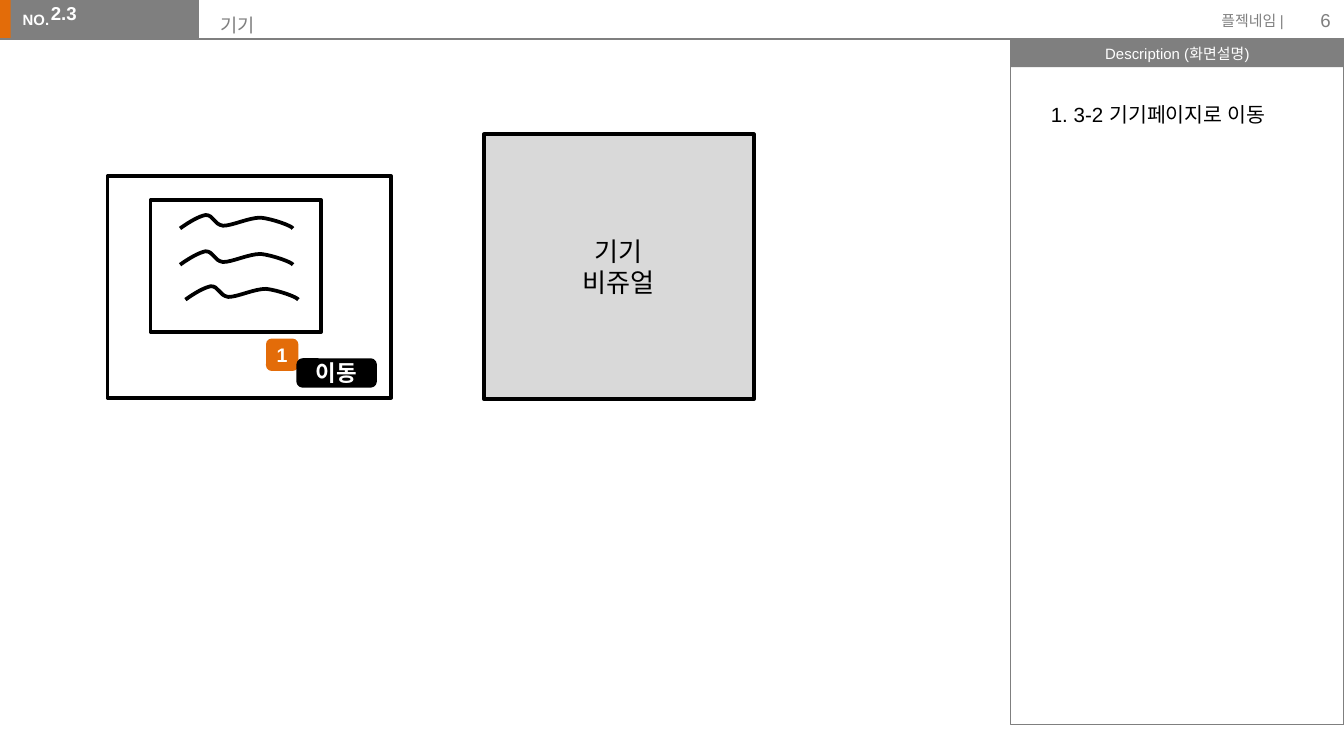
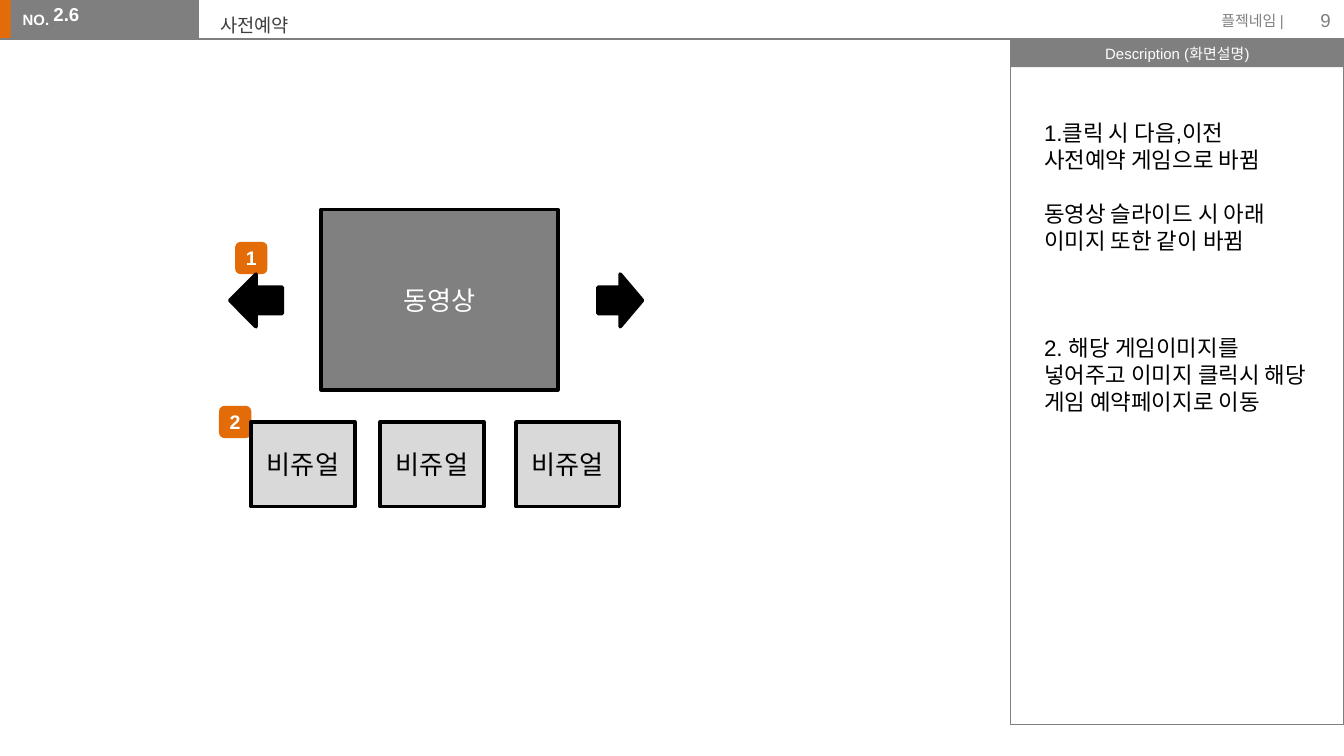
from dataclasses import dataclass

from lxml.etree import SubElement
from pptx import Presentation
from pptx.dml.color import RGBColor
from pptx.enum.shapes import MSO_CONNECTOR, MSO_SHAPE
from pptx.enum.text import MSO_ANCHOR, PP_ALIGN
from pptx.oxml.ns import qn
from pptx.util import Pt

# Scale: 100 px to the inch
EMU_PER_PX = 9144

# Theme
FONT = "Arial"
ORANGE = RGBColor(0xE3, 0x6C, 0x09)
GRAY = RGBColor(0x7F, 0x7F, 0x7F)
VIDEO_GRAY = RGBColor(0x80, 0x80, 0x80)
DARK_GRAY = RGBColor(0x3F, 0x3F, 0x3F)
LIGHT_GRAY = RGBColor(0xD9, 0xD9, 0xD9)
BLACK = RGBColor(0, 0, 0)
WHITE = RGBColor(0xFF, 0xFF, 0xFF)
THIN, THICK = 0.75, 2


@dataclass(frozen=True)
class Box:
    left: int
    top: int
    width: int
    height: int

    def emu(self) -> list[int]:
        return [px(value) for value in (self.left, self.top, self.width, self.height)]


@dataclass(frozen=True)
class TextStyle:
    size: float
    color: RGBColor
    bold: bool = False
    align: PP_ALIGN = PP_ALIGN.LEFT
    anchor: MSO_ANCHOR = MSO_ANCHOR.TOP
    inset_x: int = 10
    inset_y: int = 5
    wrap: bool = True


@dataclass(frozen=True)
class Line:
    text: str
    space_before: float = 0


@dataclass(frozen=True)
class Screen:
    number: str
    number_box: Box
    title: str
    title_color: RGBColor
    page: str


def centered(size: float, color: RGBColor, bold: bool = False, inset_x: int = 10) -> TextStyle:
    return TextStyle(size, color, bold, PP_ALIGN.CENTER, MSO_ANCHOR.MIDDLE, inset_x)


NUMBER_LABEL = TextStyle(8, WHITE, bold=True, wrap=False)
NUMBER = TextStyle(10, WHITE, bold=True, inset_y=12)
PROJECT = TextStyle(8, GRAY, align=PP_ALIGN.RIGHT, inset_y=4)
PAGE = TextStyle(10, GRAY, align=PP_ALIGN.RIGHT, anchor=MSO_ANCHOR.MIDDLE)
PANEL_HEADING = centered(8, WHITE)
BADGE = centered(10.5, WHITE, bold=True, inset_x=0)
VISUAL = centered(14, BLACK)
VIDEO = centered(14, WHITE)
BUTTON = centered(12, WHITE, bold=True)

# Start point, then three points for each curve
SQUIGGLE = [(0, 10), (7, 5), (14, 1), (19, 0), (25, 0), (25, 7), (32, 8),
            (39, 8), (51, 2), (60, 2), (69, 3), (83, 8), (84, 10)]


# Drawing helpers
def px(value: int) -> int:
    return value * EMU_PER_PX


def write(shape, lines: list[Line], style: TextStyle) -> None:
    frame = shape.text_frame
    frame.word_wrap = style.wrap
    frame.vertical_anchor = style.anchor
    frame.margin_left = frame.margin_right = px(style.inset_x)
    frame.margin_top = frame.margin_bottom = px(style.inset_y)
    for index, line in enumerate(lines):
        paragraph = frame.add_paragraph() if index else frame.paragraphs[0]
        paragraph.alignment = style.align
        paragraph.space_before = Pt(line.space_before)
        run = paragraph.add_run()
        run.text = line.text
        run.font.name = FONT
        run.font.size = Pt(style.size)
        run.font.bold = style.bold
        run.font.color.rgb = style.color


def add_text(slide, box: Box, lines: list[Line], style: TextStyle):
    shape = slide.shapes.add_textbox(*box.emu())
    write(shape, lines, style)
    return shape


def paint(shape, fill: RGBColor | None, outline: RGBColor | None, weight: float) -> None:
    shape.shadow.inherit = False
    if fill is None:
        shape.fill.background()
    else:
        shape.fill.solid()
        shape.fill.fore_color.rgb = fill
    if outline is None:
        shape.line.fill.background()
        return
    shape.line.color.rgb = outline
    shape.line.width = Pt(weight)
    if weight == THICK:
        SubElement(shape._element.spPr.find(qn("a:ln")), qn("a:round"))


def add_block(slide, box: Box, fill: RGBColor | None = None,
              outline: RGBColor | None = None, weight: float = THICK,
              kind: MSO_SHAPE = MSO_SHAPE.RECTANGLE,
              texts: tuple[str, ...] = (), style: TextStyle = VISUAL):
    shape = slide.shapes.add_shape(kind, *box.emu())
    paint(shape, fill, outline, weight)
    if texts:
        write(shape, [Line(text) for text in texts], style)
    return shape


def add_badge(slide, left: int, top: int, number: str) -> None:
    badge = add_block(slide, Box(left, top, 24, 24), ORANGE,
                      kind=MSO_SHAPE.ROUNDED_RECTANGLE, texts=(number,), style=BADGE)
    badge.adjustments[0] = 0.17


def add_squiggle(slide, left: int, top: int) -> None:
    points = [(left + x, top + y) for x, y in SQUIGGLE]
    builder = slide.shapes.build_freeform(*points[0], scale=EMU_PER_PX)
    builder.add_line_segments(points[1:], close=False)
    shape = builder.convert_to_shape()
    paint(shape, None, BLACK, THICK)
    # Merge every three straight segments into one curve
    outline = shape._element.find(".//" + qn("a:path"))
    segments = outline.findall(qn("a:lnTo"))
    for start in range(0, len(segments), 3):
        curve = SubElement(outline, qn("a:cubicBezTo"))
        for segment in segments[start:start + 3]:
            curve.append(segment[0])
            outline.remove(segment)


# Shared header and description panel
def add_screen(presentation, screen: Screen):
    slide = presentation.slides.add_slide(presentation.slide_layouts[6])
    add_block(slide, Box(-1, 0, 12, 29), ORANGE)
    add_block(slide, Box(8, 0, 140, 29), GRAY)
    add_text(slide, Box(7, 3, 41, 24), [Line("NO.")], NUMBER_LABEL)

    rule = slide.shapes.add_connector(MSO_CONNECTOR.STRAIGHT, 0, px(29), px(766), px(29))
    rule.line.color.rgb = GRAY
    rule.line.width = Pt(THIN)
    SubElement(rule._element.spPr, qn("a:effectLst"))

    add_block(slide, Box(752, 29, 248, 21), GRAY,
              texts=("Description (화면설명)",), style=PANEL_HEADING)
    add_block(slide, Box(752, 29, 248, 510), outline=GRAY, weight=THIN)
    add_text(slide, Box(893, 5, 72, 24), [Line("플젝네임 |")], PROJECT)
    add_text(slide, Box(940, 0, 60, 30), [Line(screen.page)], PAGE)
    add_text(slide, Box(154, 2, 561, 32), [Line(screen.title)],
             TextStyle(10, screen.title_color, inset_y=12))

    number = add_text(slide, screen.number_box, [Line(screen.number, 2)], NUMBER)
    properties = number.text_frame.paragraphs[0]._p.get_or_add_pPr()
    properties.set("marL", str(px(50)))
    properties.set("indent", str(px(-25)))
    return slide


def build_device_screen(presentation) -> None:
    slide = add_screen(presentation, Screen("2.3", Box(3, -7, 110, 31), "기기", GRAY, "6"))
    add_text(slide, Box(772, 71, 196, 29), [Line("1. 3-2 기기페이지로 이동")],
             TextStyle(11, BLACK, wrap=False))
    add_badge(slide, 198, 252, "1")
    add_block(slide, Box(360, 100, 201, 197), LIGHT_GRAY, BLACK, texts=("기기", "비쥬얼"))

    # Device card with its move button
    add_block(slide, Box(80, 131, 211, 165), outline=BLACK)
    add_block(slide, Box(222, 268, 57, 19), BLACK, BLACK,
              kind=MSO_SHAPE.ROUNDED_RECTANGLE, texts=("이동",), style=BUTTON)
    add_block(slide, Box(112, 149, 127, 98), outline=BLACK)
    for left, top in ((134, 160), (134, 187), (138, 213)):
        add_squiggle(slide, left, top)


def build_reservation_screen(presentation) -> None:
    slide = add_screen(presentation,
                       Screen("2.6", Box(5, -6, 110, 31), "사전예약", DARK_GRAY, "9"))
    add_text(slide, Box(767, 84, 233, 293), [
        Line("1.클릭 시 다음,이전"),
        Line("사전예약 게임으로 바뀜"),
        Line("동영상 슬라이드 시 아래", 14.4),
        Line("이미지 또한 같이 바뀜"),
        Line("2. 해당 게임이미지를", 43.2),
        Line("넣어주고 이미지 클릭시 해당 게임 예약페이지로 이동"),
    ], TextStyle(12, BLACK))
    add_badge(slide, 175, 180, "1")
    add_badge(slide, 163, 302, "2")

    # Video with its slide arrows
    add_block(slide, Box(445, 204, 33, 39), BLACK, BLACK, kind=MSO_SHAPE.RIGHT_ARROW)
    add_block(slide, Box(171, 204, 39, 39), BLACK, BLACK, kind=MSO_SHAPE.LEFT_ARROW)
    add_block(slide, Box(239, 156, 176, 134), VIDEO_GRAY, BLACK,
              texts=("동영상",), style=VIDEO)

    # Game thumbnails
    for left in (187, 283, 384):
        add_block(slide, Box(left, 314, 77, 63), LIGHT_GRAY, BLACK, texts=("비쥬얼",))


def main() -> None:
    presentation = Presentation()
    # Widescreen, 16 by 9
    presentation.slide_width = px(1000)
    presentation.slide_height = px(1000) * 9 // 16
    build_device_screen(presentation)
    build_reservation_screen(presentation)
    presentation.save("out.pptx")


if __name__ == "__main__":
    main()
